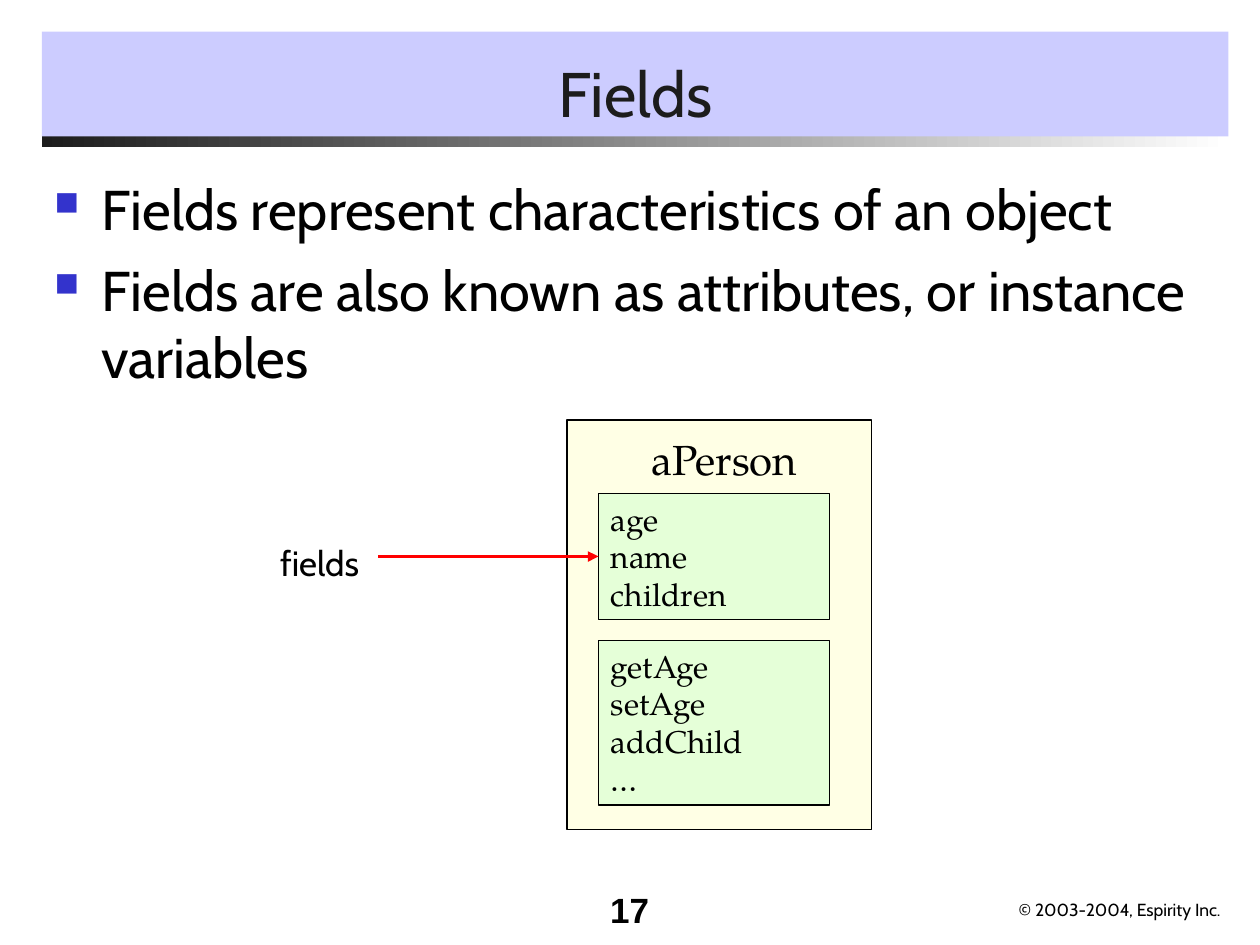
"""Build the Fields slide: title, two bullets and an object diagram."""
from dataclasses import dataclass

from lxml.etree import SubElement
from pptx import Presentation
from pptx.dml.color import RGBColor
from pptx.enum.shapes import MSO_CONNECTOR, MSO_SHAPE
from pptx.enum.text import MSO_ANCHOR, MSO_AUTO_SIZE, PP_ALIGN
from pptx.oxml.ns import qn
from pptx.shapes.autoshape import Shape
from pptx.slide import Slide
from pptx.util import Pt

SANS, SERIF, PLAIN = "Cabin", "TeX Gyre Pagella", "Arial"


@dataclass
class Box:
    left: float
    top: float
    width: float
    height: float


@dataclass
class Style:
    font: str
    size: float
    color: str = "000000"
    bold: bool = False
    align: PP_ALIGN = PP_ALIGN.LEFT


@dataclass
class Label:
    box: Box
    text: str
    style: Style


@dataclass
class Members:
    box: Box
    names: list[str]


LABELS = [
    Label(Box(575, 510, 133, 19), "© 2003-2004, Espirity Inc.", Style(SANS, 10)),
    Label(Box(365, 244, 107, 36), "aPerson", Style(SERIF, 24)),
    Label(Box(153, 306, 65, 31.5), "fields", Style(SANS, 20)),
]
MEMBERS = [
    Members(Box(342, 282, 132, 72), ["age", "name", "children"]),
    Members(Box(342, 366, 132, 94), ["getAge", "setAge", "addChild", "…"]),
]
BULLETS = [
    "Fields represent characteristics of an object",
    "Fields are also known as attributes, or instance variables",
]


def rgb(color: str) -> RGBColor:
    return RGBColor.from_string(color)


def place(box: Box) -> tuple[Pt, Pt, Pt, Pt]:
    return Pt(box.left), Pt(box.top), Pt(box.width), Pt(box.height)


def add_rect(s: Slide, box: Box, fill: str, alpha: int = 100, outlined: bool = False) -> Shape:
    sp = s.shapes.add_shape(MSO_SHAPE.RECTANGLE, *place(box))
    sp.shadow.inherit = False
    sp.fill.solid()
    sp.fill.fore_color.rgb = rgb(fill)
    if alpha < 100:
        clr = sp.fill._xPr.find(qn("a:solidFill"))[0]
        SubElement(clr, qn("a:alpha"), val=str(alpha * 1000))
    if outlined:
        sp.line.color.rgb = rgb("000000")
        sp.line.width = Pt(0.75)
    else:
        sp.line.fill.background()
    return sp


def add_bar(s: Slide, box: Box) -> None:
    sp = add_rect(s, box, "1C1C1C")
    sp.fill.gradient()
    sp.fill.gradient_angle = 0
    for stop, color in zip(sp.fill.gradient_stops, ("1C1C1C", "FFFFFF")):
        stop.color.rgb = rgb(color)


def write(sp: Shape, lines: list[str], style: Style, anchor: MSO_ANCHOR = MSO_ANCHOR.TOP,
          bulleted: bool = False) -> None:
    tf = sp.text_frame
    tf.word_wrap = True
    tf.vertical_anchor = anchor
    for i, line in enumerate(lines):
        p = tf.add_paragraph() if i else tf.paragraphs[0]
        p.alignment = style.align
        if bulleted:
            add_bullet(p)
            p.space_before = Pt(8 if i else 0)
        r = p.add_run()
        r.text = line
        r.font.name = style.font
        r.font.size = Pt(style.size)
        r.font.bold = style.bold
        r.font.color.rgb = rgb(style.color)


def add_bullet(p) -> None:
    pPr = p._p.get_or_add_pPr()
    pPr.set("marL", str(Pt(27)))
    pPr.set("indent", str(-Pt(27)))
    SubElement(SubElement(pPr, qn("a:buClr")), qn("a:srgbClr"), val="3333CC")
    SubElement(pPr, qn("a:buSzPct"), val="60000")
    SubElement(pPr, qn("a:buChar"), char="■")


def add_label(s: Slide, label: Label) -> None:
    sp = s.shapes.add_textbox(*place(label.box))
    write(sp, [label.text], label.style)
    sp.text_frame.word_wrap = False
    sp.text_frame.auto_size = MSO_AUTO_SIZE.SHAPE_TO_FIT_TEXT


def add_members(s: Slide, members: Members) -> Shape:
    sp = add_rect(s, members.box, "CCFFCC", 50, True)
    write(sp, members.names, Style(SERIF, 18))
    return sp


def add_arrow(s: Slide, left: float, target: Shape) -> None:
    y = target.top + target.height // 2
    cxn = s.shapes.add_connector(MSO_CONNECTOR.STRAIGHT, Pt(left), y, target.left, y)
    cxn.end_connect(target, 1)
    cxn.line.color.rgb = rgb("FF0000")
    cxn.line.width = Pt(2)
    SubElement(cxn.line._get_or_add_ln(), qn("a:tailEnd"), type="triangle")
    SubElement(cxn._element.spPr, qn("a:effectLst"))


def main() -> None:
    prs = Presentation()
    prs.slide_width, prs.slide_height = Pt(720), Pt(540)
    s = prs.slides.add_slide(prs.slide_layouts[6])

    add_bar(s, Box(24, 78, 678, 6))
    title = add_rect(s, Box(24, 18, 678, 60), "CCCCFF")
    write(title, ["Fields"], Style(SANS, 36, "1C1C1C", align=PP_ALIGN.CENTER), MSO_ANCHOR.BOTTOM)
    body = s.shapes.add_textbox(*place(Box(24, 96, 681, 390)))
    write(body, BULLETS, Style(SANS, 32), bulleted=True)
    number = s.shapes.add_textbox(*place(Box(318, 504, 60, 36)))
    write(number, ["17"], Style(PLAIN, 20, bold=True, align=PP_ALIGN.RIGHT))

    add_rect(s, Box(324, 240, 174, 234), "FFFFCC", 50, True)
    for label in LABELS:
        add_label(s, label)
    fields, _ = [add_members(s, members) for members in MEMBERS]
    add_arrow(s, 216, fields)
    prs.save("out.pptx")


if __name__ == "__main__":
    main()
